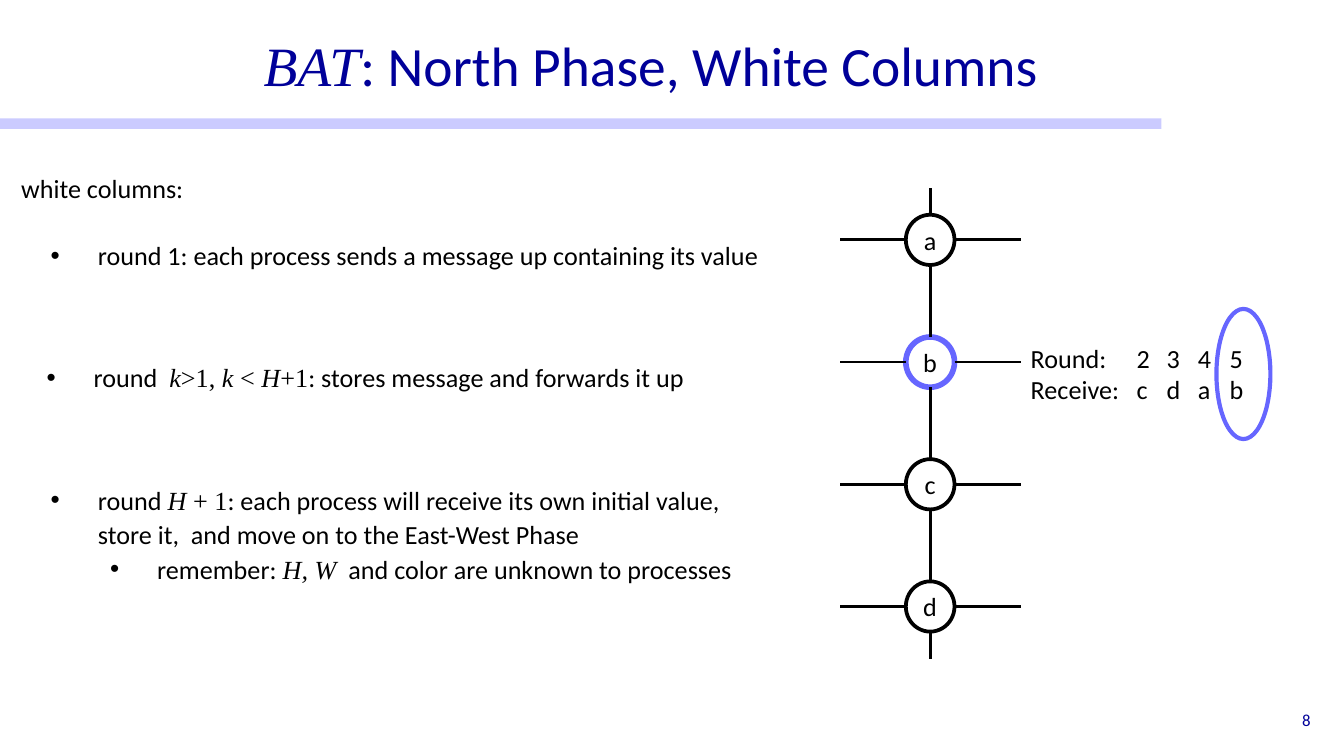
from dataclasses import dataclass

from lxml.etree import SubElement
from pptx import Presentation
from pptx.dml.color import RGBColor
from pptx.enum.shapes import MSO_CONNECTOR, MSO_SHAPE as SHAPE
from pptx.enum.text import MSO_ANCHOR as ANCHOR, MSO_AUTO_SIZE as FIT, PP_ALIGN as ALIGN
from pptx.oxml.ns import qn
from pptx.util import Cm, Pt


@dataclass(frozen=True)
class Theme:
    black: RGBColor = RGBColor(0x00, 0x00, 0x00)
    white: RGBColor = RGBColor(0xFF, 0xFF, 0xFF)
    navy: RGBColor = RGBColor(0x00, 0x00, 0x99)
    accent: RGBColor = RGBColor(0x66, 0x66, 0xFF)
    bar: RGBColor = RGBColor(0x99, 0x99, 0xFF)
    sans: str = "Calibri"
    serif: str = "Times New Roman"
    title: float = 29.7
    body: float = 14
    small: float = 9


theme = Theme()
PLAIN = (theme.sans, False)
MATH = (theme.serif, False)
VARIABLE = (theme.serif, True)

deck = Presentation()
deck.slide_width, deck.slide_height = Cm(25.4), Cm(14.29)
slide = deck.slides.add_slide(deck.slide_layouts[6])


def add_text(box, paragraphs, size=theme.body, color=theme.black,
             align=ALIGN.LEFT, anchor=ANCHOR.TOP, inset=(0.25, 0.25)):
    """Put a text box at box (cm); each paragraph is a list of (text, style)."""
    frame = slide.shapes.add_textbox(*map(Cm, box)).text_frame
    frame.word_wrap = True
    frame.vertical_anchor = anchor
    frame.margin_left = frame.margin_right = Cm(inset[0])
    frame.margin_top = frame.margin_bottom = Cm(inset[1])
    for index, runs in enumerate(paragraphs):
        paragraph = frame.add_paragraph() if index else frame.paragraphs[0]
        paragraph.alignment = align
        for text, (font_name, italic) in runs:
            run = paragraph.add_run()
            run.text = text
            run.font.name, run.font.italic = font_name, italic
            run.font.size, run.font.color.rgb = Pt(size), color
    return frame


def add_line(x1, y1, x2, y2):
    line = slide.shapes.add_connector(MSO_CONNECTOR.STRAIGHT, Cm(x1), Cm(y1), Cm(x2), Cm(y2))
    line.line.color.rgb, line.line.width = theme.black, Pt(1.5)
    SubElement(line._element.spPr, qn("a:effectLst"))


# Title bar
title_bar = slide.shapes.add_shape(SHAPE.RECTANGLE, 0, Cm(2.24), Cm(21.95), Cm(0.2))
title_bar.shadow.inherit = False
title_bar.fill.solid()
title_bar.fill.fore_color.rgb = theme.bar
title_bar.line.fill.background()
bar_color = title_bar._element.spPr.find(".//" + qn("a:srgbClr"))
SubElement(bar_color, qn("a:alpha"), val="50000")

# Column of processes
center_x, left_end, right_end = 17.58, 15.88, 19.3
node_width, node_height = 0.92, 0.95
first_top, pitch = 4.06, 2.31
column_top, column_bottom = 3.56, 12.45
node_left, node_right = center_x - node_width / 2, center_x + node_width / 2

link_start = column_top
for row, name in enumerate("abcd"):
    top = first_top + row * pitch
    middle = top + node_height / 2
    process = slide.shapes.add_shape(
        SHAPE.OVAL, Cm(node_left), Cm(top), Cm(node_width), Cm(node_height))
    process.shadow.inherit = False
    process.fill.solid()
    process.fill.fore_color.rgb = theme.white
    highlighted = name == "b"
    process.line.color.rgb = theme.accent if highlighted else theme.black
    process.line.width = Pt(3 if highlighted else 2)
    label = process.text_frame
    label.text = name
    label.word_wrap = False
    label.vertical_anchor = ANCHOR.MIDDLE
    label.paragraphs[0].alignment = ALIGN.CENTER
    label_font = label.paragraphs[0].runs[0].font
    label_font.name, label_font.size = theme.sans, Pt(theme.body)
    label_font.color.rgb = theme.black

    add_line(left_end, middle, node_left, middle)
    add_line(node_right, middle, right_end, middle)
    add_line(center_x, link_start, center_x, top)
    link_start = top + node_height
add_line(center_x, link_start, center_x, column_bottom)

# Title and page number
title = add_text((4.47, 0.36, 15.67, 1.88),
                 [[("BAT", VARIABLE), (": North Phase, White Columns", PLAIN)]],
                 theme.title, theme.navy, ALIGN.CENTER, ANCHOR.MIDDLE, (0.18, 0.1))
title.paragraphs[0].line_spacing = 0.9
add_text((19.23, 13.23, 5.72, 0.76), [[("8", PLAIN)]],
         theme.small, theme.navy, ALIGN.RIGHT, ANCHOR.MIDDLE, (0.18, 0.1))

# Messages received by process b
received = add_text((19.23, 6.22, 4.88, 1.7),
                    [[("Round:\t2\t3\t4", PLAIN)], [("Receive:\tc\td\ta", PLAIN)]])
for paragraph in received.paragraphs:
    tab_list = SubElement(paragraph._p.get_or_add_pPr(), qn("a:tabLst"))
    for stop in (2.0, 2.57, 3.16):
        SubElement(tab_list, qn("a:tab"), pos=str(Cm(stop)), algn="l")

# Explanation of the rounds
intro = add_text((0.15, 2.95, 8.33, 1.12), [[("white columns:", PLAIN)]])
intro.paragraphs[0].line_spacing = 1.1

rounds = [
    ((0.33, 4.22, 14.81, 1.12), [
        [("round 1: each process sends a message up containing its value", PLAIN)]]),
    ((0.25, 6.53, 13.67, 1.12), [
        [("round  ", PLAIN), ("k", VARIABLE), (">1, ", MATH), ("k", VARIABLE), (" < ", MATH),
         ("H", VARIABLE), ("+1", MATH), (": stores message and forwards it up", PLAIN)]]),
    ((0.33, 8.84, 13.92, 2.44), [
        [("round ", PLAIN), ("H ", VARIABLE), ("+ 1", MATH),
         (": each process will receive its own initial value, store it,  "
          "and move on to the East-West Phase", PLAIN)],
        [("remember: ", PLAIN), ("H, W", VARIABLE),
         ("  and color are unknown to processes", PLAIN)]]),
]
for box, steps in rounds:
    frame = add_text(box, steps)
    frame.auto_size = FIT.SHAPE_TO_FIT_TEXT
    for level, paragraph in enumerate(frame.paragraphs):
        paragraph.level = level
        paragraph.line_spacing = 1.1
        properties = paragraph._p.get_or_add_pPr()
        properties.set("marL", str(Cm(1.27 + 1.12 * level)))
        properties.set("indent", str(Cm(-0.89)))
        bullet_color = SubElement(properties, qn("a:buClr"))
        SubElement(bullet_color, qn("a:srgbClr"), val=str(theme.black))
        SubElement(properties, qn("a:buFont"), typeface="Arial")
        SubElement(properties, qn("a:buChar"), char="•")

# Final round, circled
final_ring = slide.shapes.add_shape(SHAPE.OVAL, Cm(22.99), Cm(5.84), Cm(1.02), Cm(2.46))
final_ring.shadow.inherit = False
final_ring.fill.background()
final_ring.line.color.rgb, final_ring.line.width = theme.accent, Pt(2.25)
add_text((22.99, 6.22, 1.12, 1.7), [[("5", PLAIN)], [("b", PLAIN)]])

deck.save("out.pptx")
